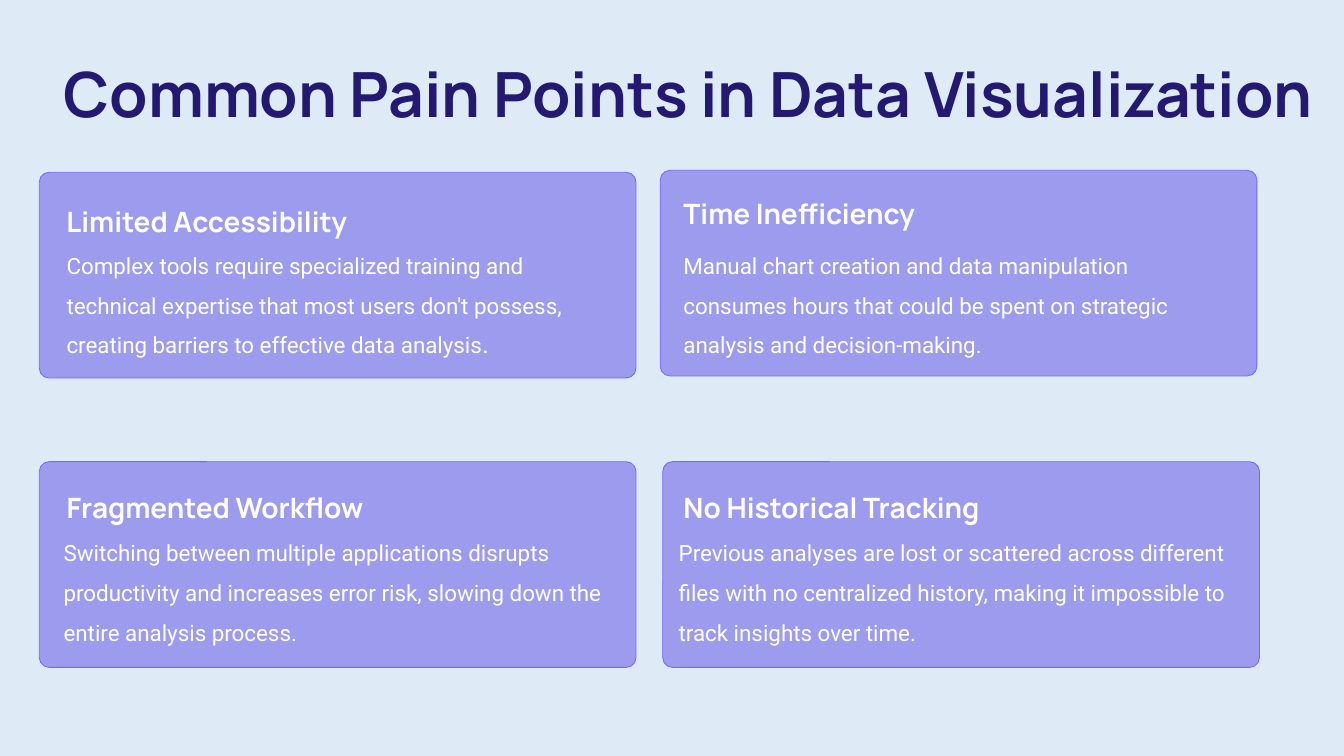
import pptx
import pptx.dml.color
import pptx.enum.shapes
import pptx.enum.text
import pptx.oxml
import pptx.oxml.ns
import pptx.util

Pt = pptx.util.Pt
RGBColor = pptx.dml.color.RGBColor

BACKGROUND = RGBColor(0xDE, 0xEB, 0xF7)
NAVY = RGBColor(0x23, 0x19, 0x71)
CARD_FILL = RGBColor(0x5E, 0x4C, 0xE6)
CARD_LINE = RGBColor(0x77, 0x65, 0xFF)
WHITE = RGBColor(0xFF, 0xFF, 0xFF)

CARD_WIDTH, CARD_HEIGHT = 426.2, 146.9
HEADING_HEIGHT, BODY_HEIGHT = 28.1, 85.7


class PainPointSlide:
    heading_font = "Manrope"
    body_font = "Roboto"

    def __init__(self, deck):
        self.slide = deck.slides.add_slide(deck.slide_layouts[6])
        fill = self.slide.background.fill
        fill.solid()
        fill.fore_color.rgb = BACKGROUND

    def card(self, left, top):
        card = self.slide.shapes.add_shape(
            pptx.enum.shapes.MSO_SHAPE.ROUNDED_RECTANGLE,
            Pt(left), Pt(top), Pt(CARD_WIDTH), Pt(CARD_HEIGHT))
        card.adjustments[0] = 0.047
        card.shadow.inherit = False
        card.fill.solid()
        card.fill.fore_color.rgb = CARD_FILL
        color = card.fill._xPr.find(".//" + pptx.oxml.ns.qn("a:srgbClr"))
        color.append(pptx.oxml.parse_xml(
            f'<a:alpha {pptx.oxml.ns.nsdecls("a")} val="50000"/>'))
        card.line.color.rgb = CARD_LINE
        card.line.width = Pt(0.6)

    def text(self, box, runs, spacing, font, color=WHITE, bold=False, wrap=False):
        """Runs are (wording, size) pairs that form one paragraph."""
        frame = self.slide.shapes.add_textbox(*map(Pt, box)).text_frame
        frame.margin_left = frame.margin_right = 0
        frame.margin_top = frame.margin_bottom = 0
        frame.word_wrap = wrap
        frame.auto_size = pptx.enum.text.MSO_AUTO_SIZE.NONE
        paragraph = frame.paragraphs[0]
        paragraph.line_spacing = Pt(spacing)
        for wording, size in runs:
            run = paragraph.add_run()
            run.text = wording
            run.font.name = font
            run.font.size = Pt(size)
            run.font.bold = bold
            run.font.color.rgb = color

    def title(self, box, wording):
        self.text(box, [(wording, 44.5)], 55.5, self.heading_font, NAVY, bold=True)

    def heading(self, left, top, width, wording):
        self.text((left, top, width, HEADING_HEIGHT), [(wording, 20)], 27.5,
                  self.heading_font, bold=True)

    def body(self, left, top, width, runs):
        self.text((left, top, width, BODY_HEIGHT), runs, 28.5,
                  self.body_font, wrap=True)


# Card corner, heading (left, top, width, wording), body (left, top, width, runs)
PAIN_POINTS = [
    ((28.1, 123.1),
     (47.5, 142.6, 223.2, "Limited Accessibility"),
     (47.5, 170.6, 388.1, [
         ("Complex tools require specialized training and technical expertise "
          "that most users don't possess, creating barriers to effective data "
          "analysis", 16), (".", 17.5)])),
    ((471.6, 121.7),
     (488.2, 136.8, 223.2, "Time Inefficiency"),
     (488.2, 170.6, 388.1, [
         ("Manual chart creation and data manipulation consumes hours that "
          "could be spent on strategic analysis and decision-making.", 16)])),
    ((28.1, 329.8),
     (47.5, 347, 236.9, "Fragmented Workflow"),
     (45.4, 375.8, 389.5, [
         ("Switching between multiple applications disrupts productivity and "
          "increases error risk, slowing down the entire analysis process.", 16)])),
    ((473.4, 329.8),
     (488.2, 347, 229.7, "No Historical Tracking"),
     (484.8, 375.8, 391.7, [
         ("Previous analyses are lost or scattered across different files with "
          "no centralized history, making it impossible to track insights over "
          "time.", 16)])),
]


def main():
    deck = pptx.Presentation()
    deck.slide_width, deck.slide_height = Pt(960), Pt(540)
    page = PainPointSlide(deck)

    # Title
    page.title((45.4, 37.4, 868.3, 56.2), "Common Pain Points in Data Visualization")

    # Four pain points
    for corner, heading, body in PAIN_POINTS:
        page.card(*corner)
        page.heading(*heading)
        page.body(*body)

    deck.save("out.pptx")


if __name__ == "__main__":
    main()
